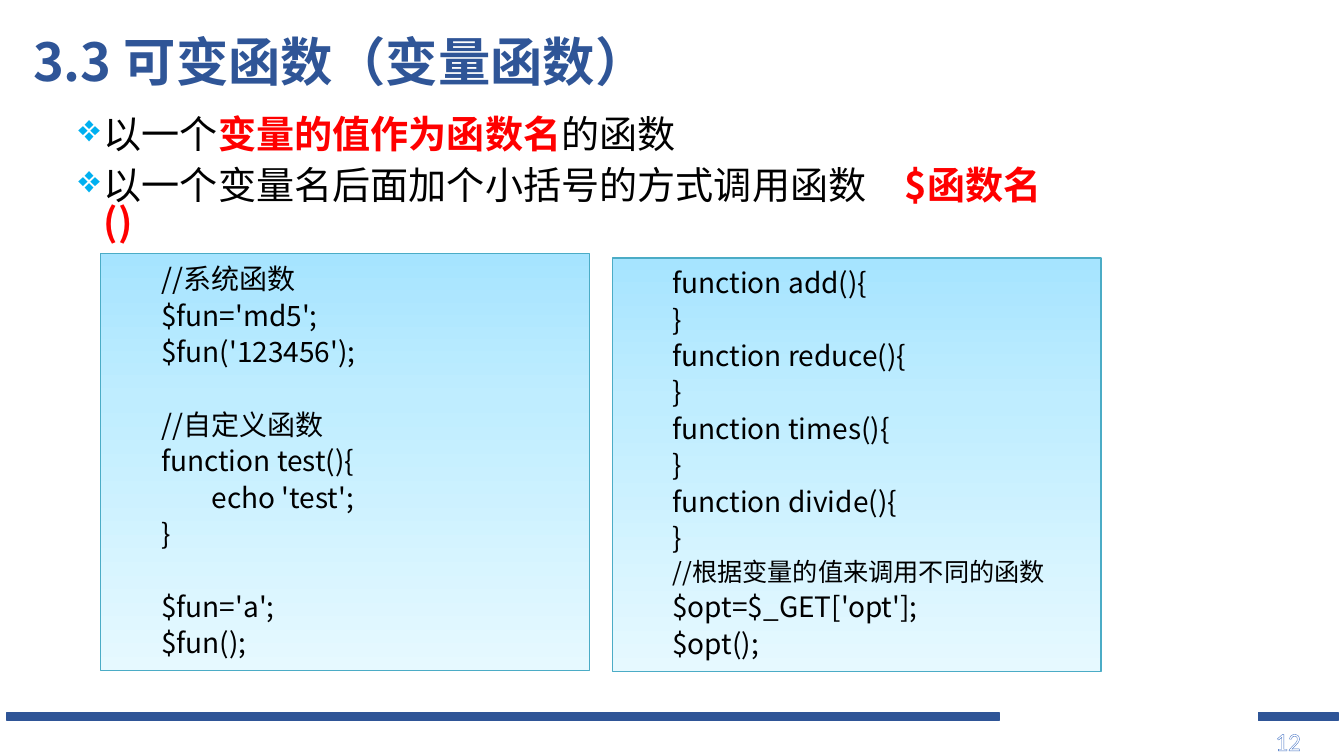
import pptx
import pptx.util
import pptx.dml.color
import pptx.enum.dml
import pptx.enum.shapes
import pptx.enum.text
import pptx.oxml
import pptx.oxml.ns

Inches = pptx.util.Inches
Pt = pptx.util.Pt
ANCHOR = pptx.enum.text.MSO_ANCHOR
SANS = "Noto Sans CJK SC"
NAVY, RED, BLACK = "2F5597", "FF0000", "000000"
SYSTEM = """//系统函数
$fun='md5';
$fun('123456');

//自定义函数
function test(){
\techo 'test';
}

$fun='a';
$fun();"""
NOTE = "//根据变量的值来调用不同的函数"
CHOICE = [line for name in ("add", "reduce", "times", "divide")
          for line in (f"function {name}(){{", "}")]
CHOICE += [NOTE, "$opt=$_GET['opt'];", "$opt();"]


def rgb(code):
    """Turn a hex string into a colour."""
    return pptx.dml.color.RGBColor.from_string(code)


def node(tag, body="", **attrs):
    """Build a drawing element."""
    pairs = "".join(f' {key}="{value}"' for key, value in attrs.items())
    space = pptx.oxml.ns.nsdecls("a")
    return pptx.oxml.parse_xml(f"<a:{tag} {space}{pairs}>{body}</a:{tag}>")


def write(para, text, size=20, color=BLACK, bold=False, face=SANS):
    """Add a formatted run to a paragraph."""
    run = para.add_run()
    run.text = text
    font = run.font
    font.size, font.bold, font.name = Pt(size), bold, face
    font.color.rgb = rgb(color)
    font._element.find(pptx.oxml.ns.qn("a:latin")).addnext(node("ea", typeface=face))
    return run


def indent(para, left, hang=0):
    """Set the left margin and first line offset."""
    props = para._p.get_or_add_pPr()
    props.set("marL", str(Inches(left)))
    props.set("indent", str(Inches(hang)))
    return props


def label(slide, left, top, width, height, anchor=ANCHOR.TOP):
    """Add a wrapping text box and return its frame."""
    box = slide.shapes.add_textbox(Inches(left), Inches(top), Inches(width), Inches(height))
    frame = box.text_frame
    frame.word_wrap = True
    frame.vertical_anchor = anchor
    return frame


def block(slide, left, top, width, height, edge, weight):
    """Add an outlined rectangle without shadow."""
    shape = slide.shapes.add_shape(
        pptx.enum.shapes.MSO_SHAPE.RECTANGLE,
        Inches(left), Inches(top), Inches(width), Inches(height))
    shape.shadow.inherit = False
    shape.line.color.rgb = rgb(edge)
    shape.line.width = Pt(weight)
    return shape


def bar(slide, left, width):
    """Add a footer bar."""
    shape = block(slide, left, 7.07, width, 0.08, NAVY, 1)
    shape.fill.solid()
    shape.fill.fore_color.rgb = rgb(NAVY)


def panel(slide, left, top, height, lines):
    """Add a gradient panel of code lines."""
    shape = block(slide, left, top, 4.85, height, "4BACC6", 0.75)
    stops = "".join(
        f'<a:gs pos="{spot * 1000}"><a:srgbClr val="{code}"/></a:gs>'
        for spot, code in ((0, "A6E4FF"), (35, "BFEDFF"), (100, "E6F9FF")))
    body = f'<a:gsLst>{stops}</a:gsLst><a:lin ang="5400000" scaled="0"/>'
    geom = shape._element.spPr.find(pptx.oxml.ns.qn("a:prstGeom"))
    geom.addnext(node("gradFill", body, rotWithShape=1))
    frame = shape.text_frame
    frame.word_wrap = True
    frame.vertical_anchor = ANCHOR.TOP
    para, gap = frame.paragraphs[0], 0
    for line in lines:
        if not line:
            gap = 26
            continue
        if para.runs:
            para = frame.add_paragraph()
        size = 18 if line == NOTE else 20
        indent(para, 0.5)
        para.alignment = pptx.enum.text.PP_ALIGN.LEFT
        para.line_spacing = Pt(size * 1.3)
        if gap:
            para.space_before = Pt(gap)
        write(para, line, size=size)
        gap = 0


def points(slide):
    """Add the bulleted points with red key words."""
    frame = label(slide, 0.68, 1.13, 9.98, 1.05)
    rows = [
        [("以一个", False), ("变量的值作为函数名", True), ("的函数", False)],
        [("以一个变量名后面加个小括号的方式调用函数　", False), ("$函数名()", True)],
    ]
    for index, row in enumerate(rows):
        para = frame.add_paragraph() if index else frame.paragraphs[0]
        para.line_spacing = Pt(26.4)
        if index:
            para.space_before = Pt(10)
        props = indent(para, 0.25, -0.25)
        props.append(node("buClr", '<a:srgbClr val="00B0F0"/>'))
        props.append(node("buChar", char="❖"))
        for text, key in row:
            write(para, text, size=27.2, color=RED if key else BLACK, bold=key)


def number(slide):
    """Add the outlined page number."""
    para = label(slide, 12.55, 7.15, 0.65, 0.4).paragraphs[0]
    font = write(para, "12", size=18, face="Calibri").font
    font.fill.patterned()
    font.fill.pattern = pptx.enum.dml.MSO_PATTERN.LIGHT_DOWNWARD_DIAGONAL
    font.fill.fore_color.rgb = rgb("8FAADC")
    font.fill.back_color.rgb = rgb("FFFFFF")
    paint = '<a:solidFill><a:srgbClr val="4472C4"/></a:solidFill>'
    font._element.insert(0, node("ln", paint, w=Pt(1)))


def main():
    """Build and save the slide."""
    deck = pptx.Presentation()
    deck.slide_width, deck.slide_height = Inches(13.33), Inches(7.5)
    slide = deck.slides.add_slide(deck.slide_layouts[6])
    bar(slide, 0.07, 9.84)
    bar(slide, 12.48, 0.79)
    number(slide)
    points(slide)
    title = label(slide, 0.23, 0.02, 12, 1.25, ANCHOR.MIDDLE).paragraphs[0]
    title.line_spacing = 0.9
    write(title, "3.3 可变函数（变量函数）", size=37.4, color=NAVY, bold=True)
    panel(slide, 6.07, 2.56, 4.1, CHOICE)
    panel(slide, 1, 2.52, 4.13, SYSTEM.split("\n"))
    deck.save("out.pptx")


if __name__ == "__main__":
    main()
